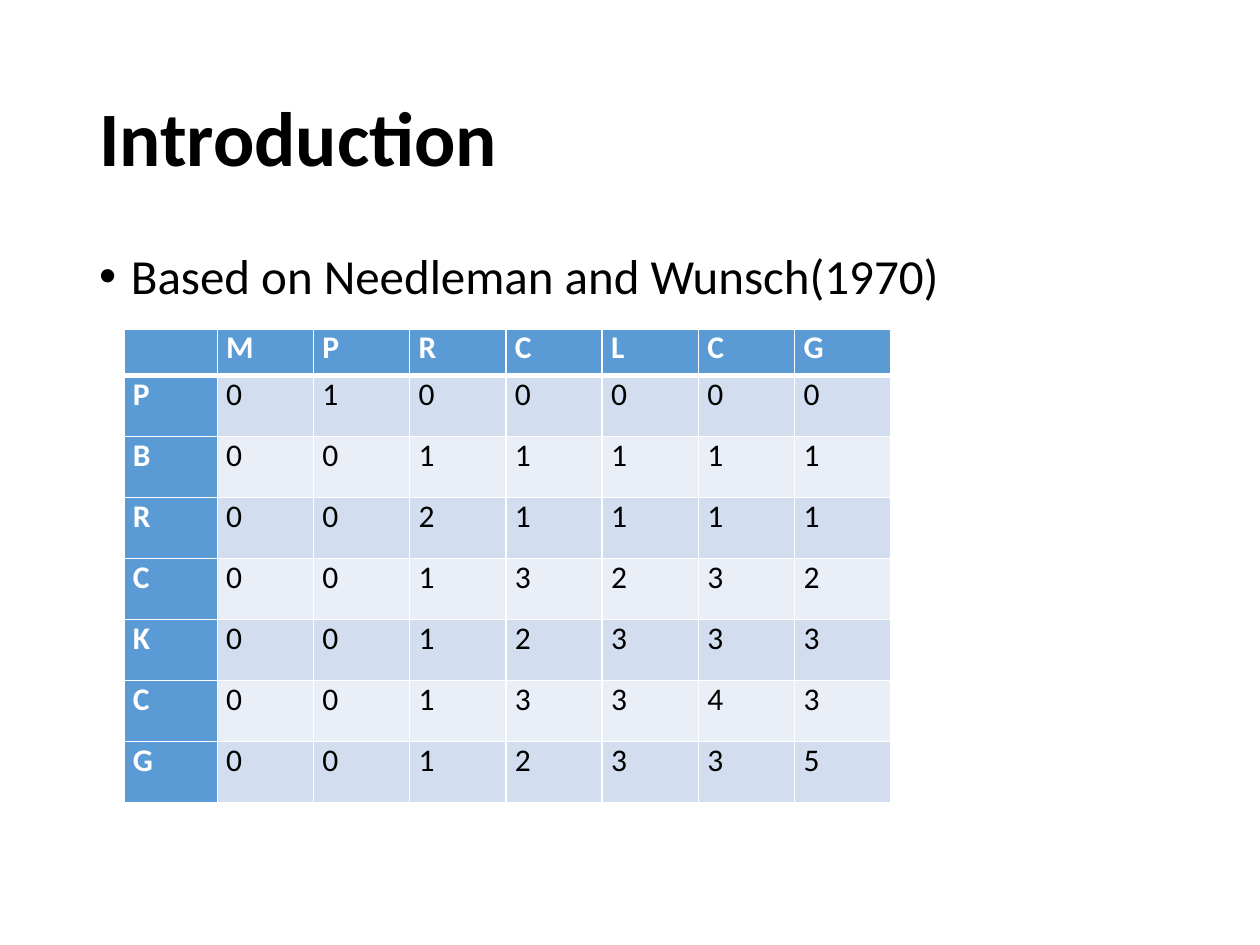
from lxml import etree
from pptx import Presentation, util as u
from pptx.dml.color import RGBColor
from pptx.enum import text
from pptx.oxml.ns import qn

# Content
TITLE = "Introduction"
BASIS = "Based on Needleman and Wunsch(1970)"
ACROSS = "MPRCLCG"
SCORES = [
    ("P", [0, 1, 0, 0, 0, 0, 0]),
    ("B", [0, 0, 1, 1, 1, 1, 1]),
    ("R", [0, 0, 2, 1, 1, 1, 1]),
    ("C", [0, 0, 1, 3, 2, 3, 2]),
    ("K", [0, 0, 1, 2, 3, 3, 3]),
    ("C", [0, 0, 1, 3, 3, 4, 3]),
    ("G", [0, 0, 1, 2, 3, 3, 5]),
]

# Look
FONT = "Calibri"
BLACK, WHITE, HEADER = "000000", "FFFFFF", "5B9BD5"
BANDS = ["EAEFF7", "D2DEEF"]
LEFT, WIDTH = 1.75, 21.9
LETTER_COL, SCORE_COL = 1.88, 1.94
HEADER_ROW, SCORE_ROW = 0.94, 1.23


def color(hex_code):
    return RGBColor.from_string(hex_code)


def write(frame, words, size=18, ink=BLACK, bold=False, spacing=None, bullet=None):
    paragraph = frame.paragraphs[0]
    if bullet:
        props = paragraph._p.get_or_add_pPr()
        indent = u.Cm(0.64)
        props.set("marL", str(indent))
        props.set("indent", str(-indent))
        etree.SubElement(props, qn("a:buFont"), typeface="Arial")
        etree.SubElement(props, qn("a:buChar"), char=bullet)
    if spacing:
        paragraph.line_spacing = spacing
    font = paragraph.font if not words else paragraph.add_run().font
    if words:
        paragraph.runs[0].text = words
    font.name, font.size, font.bold = FONT, u.Pt(size), bold
    font.color.rgb = color(ink)


def add_text(top, height, words, anchor, **look):
    frame = slide.shapes.add_textbox(
        u.Cm(LEFT), u.Cm(top), u.Cm(WIDTH), u.Cm(height)).text_frame
    frame.word_wrap = True
    frame.vertical_anchor = anchor
    write(frame, words, spacing=0.9, **look)


def add_borders(cell, **widths):
    for side in "LRTB":
        line = etree.SubElement(cell._tc.get_or_add_tcPr(), qn(f"a:ln{side}"),
                                w=str(u.Pt(widths.get(side, 1))))
        fill = etree.SubElement(line, qn("a:solidFill"))
        etree.SubElement(fill, qn("a:srgbClr"), val=WHITE)


prs = Presentation()
prs.slide_width, prs.slide_height = u.Cm(25.4), u.Cm(19.05)
slide = prs.slides.add_slide(prs.slide_layouts[6])

# Title and bullet
add_text(1.02, 3.68, TITLE, text.MSO_ANCHOR.MIDDLE, size=44, bold=True)
add_text(4.95, 12.09, BASIS, text.MSO_ANCHOR.TOP, size=28, bullet="•")

# Alignment score matrix
grid = [["", *ACROSS]] + [[letter, *scores] for letter, scores in SCORES]
col_widths = [LETTER_COL] + [SCORE_COL] * len(ACROSS)
row_heights = [HEADER_ROW] + [SCORE_ROW] * len(SCORES)
matrix = slide.shapes.add_table(
    len(grid), len(grid[0]), u.Cm(2.5), u.Cm(6.63),
    u.Cm(sum(col_widths)), u.Cm(sum(row_heights))).table
for column, width in zip(matrix.columns, col_widths):
    column.width = u.Cm(width)
for row, height in zip(matrix.rows, row_heights):
    row.height = u.Cm(height)

for r, entries in enumerate(grid):
    for c, entry in enumerate(entries):
        cell = matrix.cell(r, c)
        heading = r == 0 or c == 0
        cell.margin_left = cell.margin_right = u.Cm(0.18)
        cell.margin_top = cell.margin_bottom = 0
        # A thick rule parts the header row from the scores
        add_borders(cell, B=3 if r == 0 else 1, T=3 if r == 1 else 1)
        cell.fill.solid()
        cell.fill.fore_color.rgb = color(HEADER if heading else BANDS[r % 2])
        write(cell.text_frame, str(entry), ink=WHITE if heading else BLACK, bold=heading)

prs.save("out.pptx")
